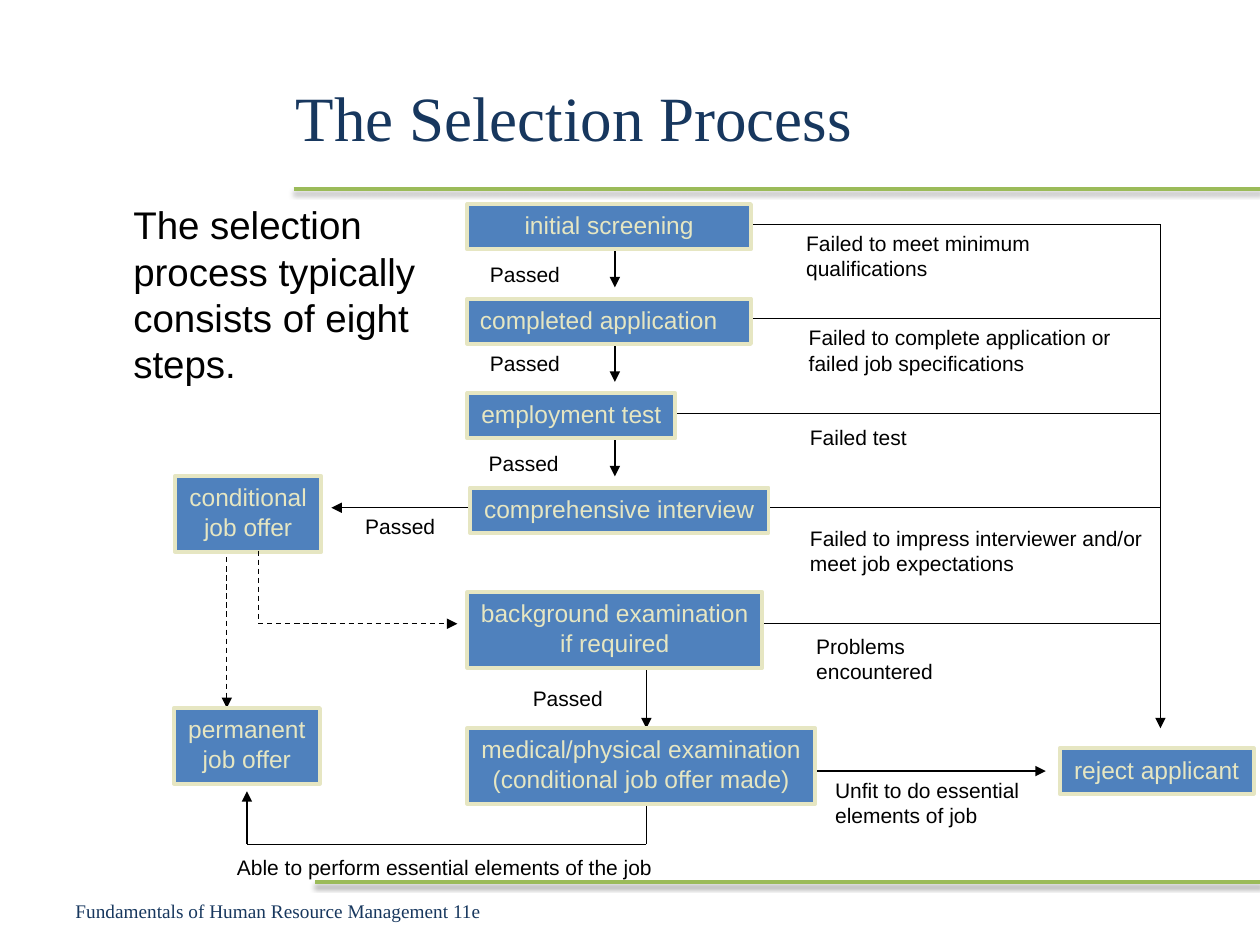
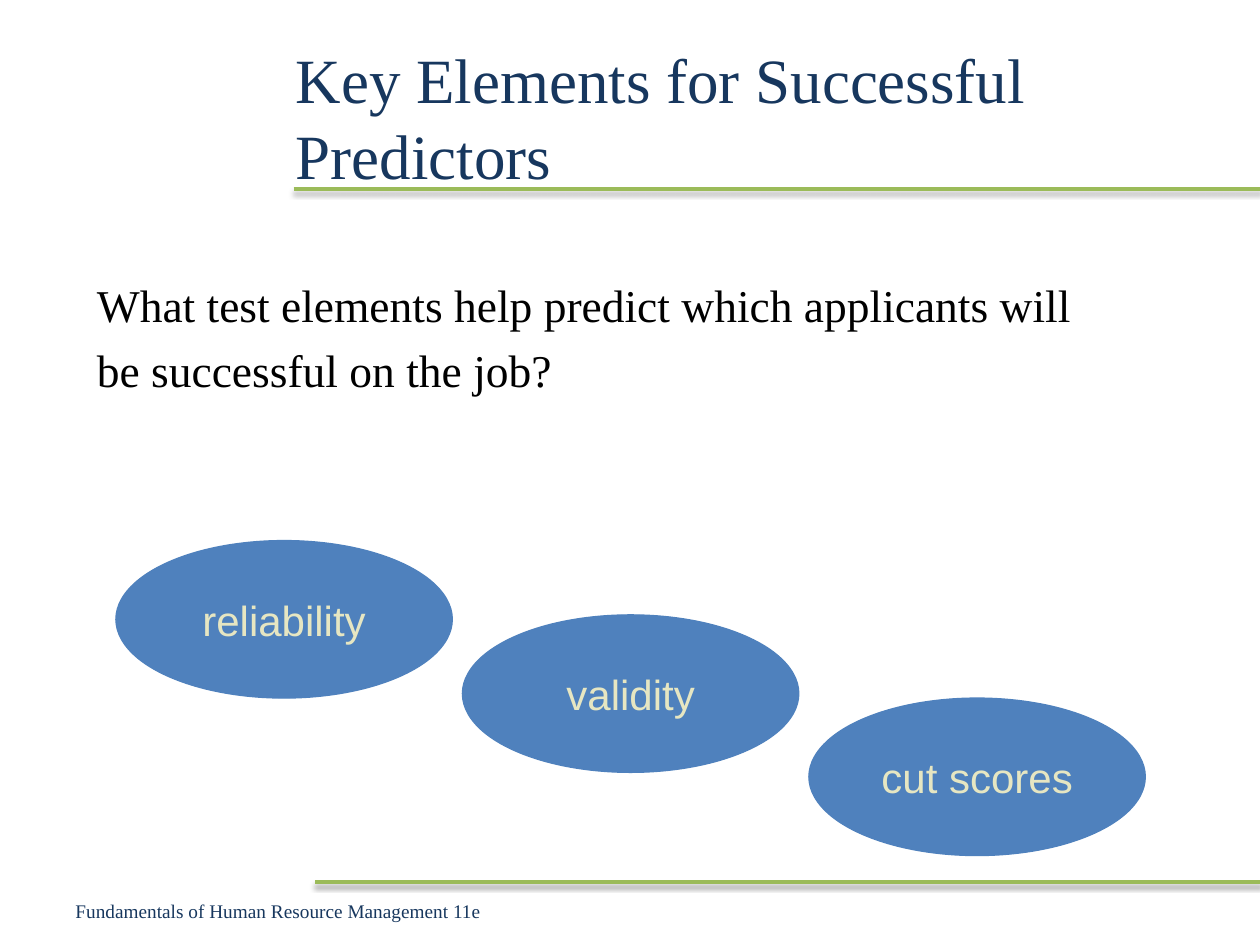
from lxml.etree import SubElement
from pptx import Presentation
from pptx.dml.color import RGBColor
from pptx.enum.dml import MSO_LINE
from pptx.enum.shapes import MSO_CONNECTOR, MSO_SHAPE
from pptx.enum.text import MSO_ANCHOR as Anchor, PP_ALIGN as Align
from pptx.oxml.ns import qn
from pptx.util import Inches, Pt

NAVY, GREEN, BLUE, CREAM, BLACK = "17375E", "9BBB59", "4F81BD", "E6E6C2", "000000"
SANS, SERIF = "Arial", "Times New Roman"
FOOTER = "Fundamentals of Human Resource Management 11e"


def color(hex_string):
    return RGBColor.from_string(hex_string)


class SlideBuilder:
    def __init__(self, deck):
        self.deck = deck
        self.page = None

    def start(self, title):
        """Add a slide with the shared rules, title and footer."""
        self.page = self.deck.slides.add_slide(self.deck.slide_layouts[6])
        self.rule(2.33, 1.5)
        self.rule(2.5, 7)
        self.text(title, 2.25, 0.3, 7.25, 1.25, 36, SERIF, NAVY, Anchor.MIDDLE)
        self.text(FOOTER, 0.5, 6.95, 5.55, 0.55, 11, SERIF, NAVY, Anchor.MIDDLE)

    def set_text(self, shape, text, size, font, tint, align, anchor, wrap):
        """Fill a shape with one paragraph per line of text."""
        frame = shape.text_frame
        frame.word_wrap = wrap
        frame.vertical_anchor = anchor
        frame.text = text
        for para in frame.paragraphs:
            para.alignment = align
            para.font.size = Pt(size)
            para.font.name = font
            para.font.color.rgb = color(tint)

    def text(self, text, left, top, width, height, size=12, font=SANS, tint=BLACK,
             anchor=Anchor.TOP, align=Align.LEFT):
        box = self.page.shapes.add_textbox(
            Inches(left), Inches(top), Inches(width), Inches(height))
        self.set_text(box, text, size, font, tint, align, anchor, True)
        return box

    def shape(self, kind, text, left, top, width, height, size, border, border_width,
              anchor, align=Align.CENTER):
        shape = self.page.shapes.add_shape(
            kind, Inches(left), Inches(top), Inches(width), Inches(height))
        shape.shadow.inherit = False
        shape.fill.solid()
        shape.fill.fore_color.rgb = color(BLUE)
        shape.line.color.rgb = color(border)
        shape.line.width = Pt(border_width)
        # Left-aligned text needs wrapping to start at the box's left margin.
        self.set_text(shape, text, size, SANS, CREAM, align, anchor, align == Align.LEFT)

    def step(self, text, left, top, width, align=Align.CENTER):
        """Draw a process box whose height follows its number of lines."""
        height = 0.6 if "\n" in text else 0.36
        self.shape(MSO_SHAPE.RECTANGLE, text, left, top, width, height, 14,
                   CREAM, 2.25, Anchor.TOP, align)

    def ellipse(self, text, left, top):
        self.shape(MSO_SHAPE.OVAL, text, left, top, 2.67, 1.25, 24,
                   BLUE, 0.75, Anchor.MIDDLE)

    def line(self, x1, y1, x2, y2, arrow=False, dashed=False, tint=BLACK, width=0.75):
        """Draw a straight line and return its empty effect list."""
        connector = self.page.shapes.add_connector(
            MSO_CONNECTOR.STRAIGHT, Inches(x1), Inches(y1), Inches(x2), Inches(y2))
        connector.line.color.rgb = color(tint)
        connector.line.width = Pt(width)
        if dashed:
            connector.line.dash_style = MSO_LINE.DASH
        properties = connector._element.spPr
        if arrow:
            SubElement(properties.find(qn("a:ln")), qn("a:tailEnd"), type="triangle")
        return SubElement(properties, qn("a:effectLst"))

    def rule(self, left, top):
        effects = self.line(left, top, 10, top, tint=GREEN, width=2)
        shadow = SubElement(effects, qn("a:outerShdw"), blurRad="40000", dist="20000",
                            dir="5400000", rotWithShape="0")
        tint = SubElement(shadow, qn("a:srgbClr"), val=BLACK)
        SubElement(tint, qn("a:alpha"), val="38000")


def build_selection_process(slide):
    slide.start("The Selection Process")

    reject_x = 9.21
    for start_x, y in [(5.96, 1.78), (5.88, 2.53), (5.3, 3.28), (6.05, 4.03), (5.96, 4.95)]:
        slide.line(start_x, y, reject_x, y)
    slide.line(reject_x, 1.78, reject_x, 5.78, arrow=True, width=1)
    slide.line(6.46, 6.12, 8.3, 6.12, arrow=True)

    for y in (1.78, 2.53, 3.28):
        slide.line(4.88, y, 4.88, y + 0.5, arrow=True)
    slide.line(5.13, 5.28, 5.13, 5.78, arrow=True)
    slide.line(4.05, 4.03, 2.63, 4.03, arrow=True)

    slide.line(1.8, 4.28, 1.8, 5.62, arrow=True, dashed=True)

    slide.line(5.13, 6.2, 5.13, 6.7)
    slide.line(5.13, 6.7, 1.96, 6.7)
    slide.line(1.96, 6.7, 1.96, 6.28, arrow=True)

    slide.step("initial screening", 3.71, 1.62, 2.25)
    slide.step("completed application", 3.71, 2.37, 2.25, Align.LEFT)
    slide.step("employment test", 3.71, 3.12, 1.65)
    slide.step("comprehensive interview", 3.73, 3.87, 2.37)
    slide.step("conditional\njob offer", 1.39, 3.78, 1.16)
    slide.step("background examination\nif required", 3.71, 4.7, 2.34)
    slide.step("medical/physical examination\n(conditional job offer made)", 3.71, 5.78, 2.76)
    slide.step("permanent\njob offer", 1.38, 5.62, 1.16)
    slide.step("reject applicant", 8.41, 5.94, 1.54)

    slide.line(2.05, 4.37, 2.05, 4.95, dashed=True)
    slide.line(2.05, 4.95, 3.63, 4.95, arrow=True, dashed=True)

    for left, top in [(3.79, 2.03), (3.79, 2.73), (3.78, 3.53), (2.8, 4.03), (4.13, 5.39)]:
        slide.text("Passed", left, top, 0.85, 0.3)

    failures = [
        ("Failed to meet minimum qualifications", 6.3, 1.78, 2.2),
        ("Failed to complete application or\nfailed job specifications", 6.32, 2.53, 2.75),
        ("Failed test", 6.33, 3.32, 1.1),
        ("Failed to impress interviewer and/or\nmeet job expectations", 6.33, 4.12, 2.95),
        ("Problems encountered", 6.38, 4.98, 1.4),
        ("Unfit to do essential\nelements of job", 6.53, 6.12, 1.8),
    ]
    for reason, left, top, width in failures:
        slide.text(reason, left, top, width, 0.5)
    slide.text("Able to perform essential elements of the job", 1.76, 6.73, 3.54, 0.3,
               align=Align.CENTER)
    slide.text("The selection process typically consists of eight steps.",
               0.96, 1.55, 2.58, 1.57, 22)


def build_key_elements(slide):
    slide.start("Key Elements for Successful Predictors")
    question = slide.text(
        "What test elements help predict which applicants will be successful on the job?",
        0.67, 2.06, 8.08, 1.08, 26, SERIF)
    question.text_frame.paragraphs[0].line_spacing = 1.2
    elements = [("reliability", 4.29), ("validity", 4.88), ("cut scores", 5.54)]
    for index, (element, top) in enumerate(elements):
        slide.ellipse(element, 0.92 + 2.75 * index, top)


def main():
    deck = Presentation()
    deck.slide_width, deck.slide_height = Inches(10), Inches(7.5)
    slide = SlideBuilder(deck)
    build_selection_process(slide)
    build_key_elements(slide)
    deck.save("out.pptx")


if __name__ == "__main__":
    main()
